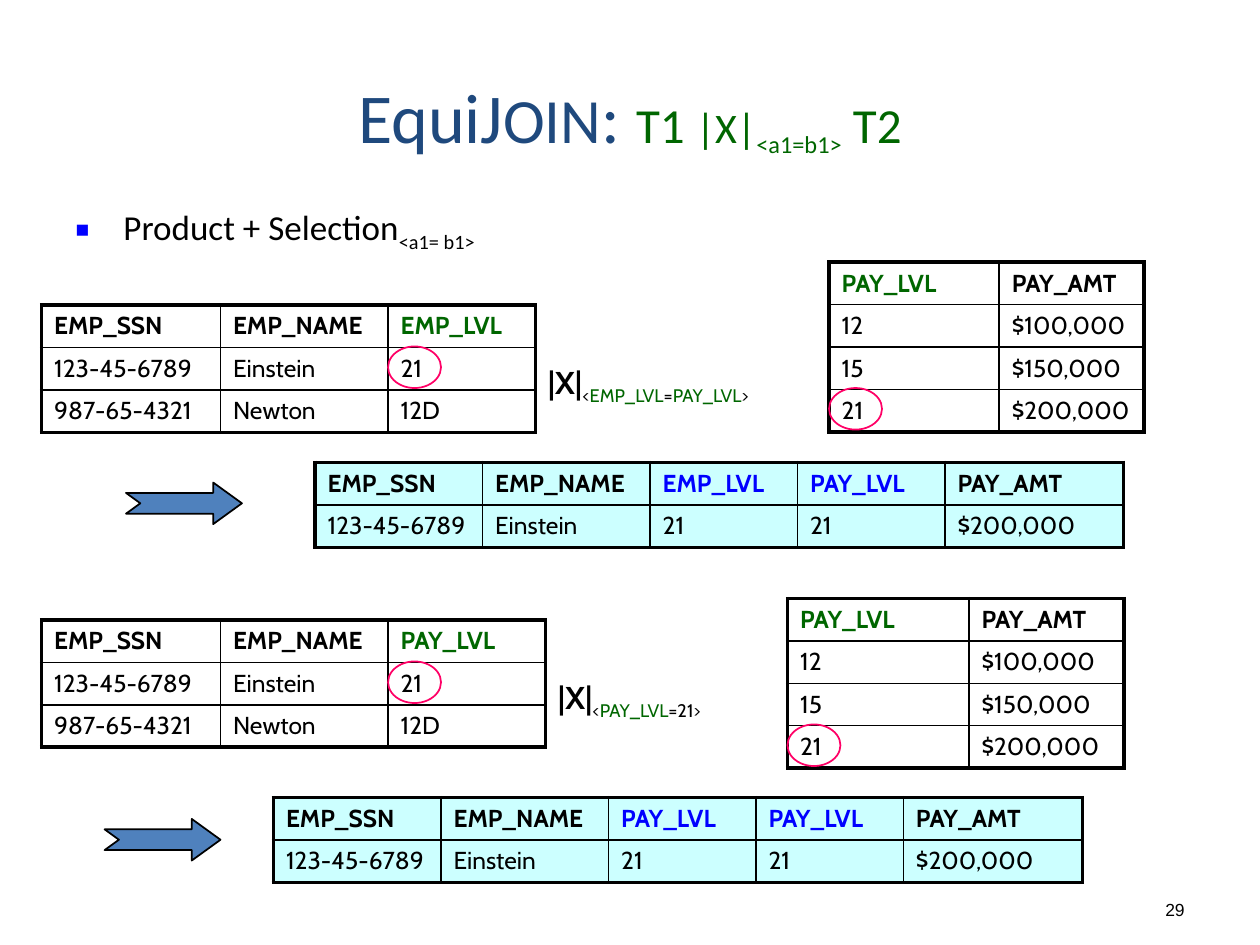
from lxml import etree
from pptx import Presentation
from pptx.dml.color import RGBColor
from pptx.enum.shapes import MSO_SHAPE
from pptx.enum.text import MSO_ANCHOR, PP_ALIGN
from pptx.oxml.ns import qn
from pptx.util import Inches, Pt

ARROW, ELLIPSE = MSO_SHAPE.NOTCHED_RIGHT_ARROW, MSO_SHAPE.OVAL
TOP, MIDDLE, BOTTOM = MSO_ANCHOR.TOP, MSO_ANCHOR.MIDDLE, MSO_ANCHOR.BOTTOM
CENTER, RIGHT = PP_ALIGN.CENTER, PP_ALIGN.RIGHT
COLORS = {
    "black": "000000", "navy": "1F497D", "green": "006600", "blue": "0000FF",
    "cyan": "CCFFFF", "arrow": "4F81BD", "pink": "FF0066",
}
ROW_HEIGHT = 0.337


def add_run(paragraph, text, size, font, color="black", bold=False, subscript=False):
    run = paragraph.add_run()
    run.text = text
    run.font.size = Pt(size)
    run.font.name = font
    run.font.bold = bold
    run.font.color.rgb = RGBColor.from_string(COLORS[color])
    if subscript:
        run._r.get_or_add_rPr().set("baseline", "-25000")


def add_relation(slide, left, top, widths, rows, header_colors, fill=None):
    frame = slide.shapes.add_table(
        len(rows), len(widths), Inches(left), Inches(top),
        Inches(sum(widths)), Inches(ROW_HEIGHT * len(rows)))
    table = frame.table
    table.first_row = table.horz_banding = False
    for column, width in zip(table.columns, widths):
        column.width = Inches(width)
    for r, values in enumerate(rows):
        table.rows[r].height = Inches(ROW_HEIGHT)
        for c, value in enumerate(values):
            cell = table.cell(r, c)
            color = header_colors.get(c, "black") if r == 0 else "black"
            add_run(cell.text_frame.paragraphs[0], value, 14, "Cabin", color, r == 0)
            outer_edges = {
                "a:lnL": c == 0, "a:lnR": c == len(widths) - 1,
                "a:lnT": r == 0, "a:lnB": r == len(rows) - 1,
            }
            properties = cell._tc.get_or_add_tcPr()
            for tag, is_outer in outer_edges.items():
                border = etree.SubElement(properties, qn(tag), w=str(Pt(2.25 if is_outer else 1)))
                solid = etree.SubElement(border, qn("a:solidFill"))
                etree.SubElement(solid, qn("a:srgbClr"), val=COLORS["black"])
            if fill:
                cell.fill.solid()
                cell.fill.fore_color.rgb = RGBColor.from_string(COLORS[fill])
            else:
                cell.fill.background()


presentation = Presentation()
presentation.slide_width, presentation.slide_height = Inches(10), Inches(7.5)
slide = presentation.slides.add_slide(presentation.slide_layouts[1])

title = slide.shapes.title
title.left, title.top, title.width, title.height = map(Inches, (0.5, 0.42, 9, 1))
title.text_frame.vertical_anchor = MIDDLE
paragraph = title.text_frame.paragraphs[0]
paragraph.alignment = CENTER
for text, size, color, subscript in [
    ("EquiJ", 40, "navy", False), ("OIN", 36, "navy", False), (": ", 40, "navy", False),
    ("T1 ", 28, "green", False), ("|X|", 24, "green", False),
    ("<a1=b1>", 24, "green", True), (" T2", 28, "green", False),
]:
    add_run(paragraph, text, size, "Calibri", color, subscript=subscript)

body = slide.placeholders[1]
body.left, body.top, body.width, body.height = map(Inches, (0.5, 1.58, 8.83, 0.67))
body.text_frame.vertical_anchor = TOP
paragraph = body.text_frame.paragraphs[0]
paragraph.space_before = Pt(0)
properties = paragraph._p.get_or_add_pPr()
properties.set("marL", str(Inches(0.38)))
properties.set("indent", str(Inches(-0.38)))
bullet_color = etree.SubElement(properties, qn("a:buClr"))
etree.SubElement(bullet_color, qn("a:srgbClr"), val=COLORS["blue"])
etree.SubElement(properties, qn("a:buSzPct"), val="65000")
etree.SubElement(properties, qn("a:buFont"), typeface="Arial")
etree.SubElement(properties, qn("a:buChar"), char="■")
add_run(paragraph, "Product + Selection", 20, "Calibri")
add_run(paragraph, "<a1= b1>", 20, "Calibri", subscript=True)

employees = [("123-45-6789", "Einstein", "21"), ("987-65-4321", "Newton", "12D")]
payments = [("PAY_LVL", "PAY_AMT"), ("12", "$100,000"), ("15", "$150,000"), ("21", "$200,000")]
joined_row = ("123-45-6789", "Einstein", "21", "21", "$200,000")
examples = [
    {
        "level": "EMP_LVL", "employee_top": 2.42, "level_width": 1.17,
        "payment_at": (6.58, 2.08), "payment_widths": (1.35, 1.15),
        "join_at": (4.25, 2.83), "result_at": (2.5, 3.67), "arrow_at": (1, 3.83),
        "circles": [(3.08, 2.75), (6.58, 3.08)],
        "condition": [("EMP_LVL", "green"), ("=", "black"), ("PAY_LVL", "green"), (">", "black")],
    },
    {
        "level": "PAY_LVL", "employee_top": 4.92, "level_width": 1.25,
        "payment_at": (6.25, 4.75), "payment_widths": (1.44, 1.23),
        "join_at": (4.33, 5.33), "result_at": (2.17, 6.33), "arrow_at": (0.83, 6.5),
        "circles": [(3.08, 5.25), (6.25, 5.75)],
        "condition": [("PAY_LVL", "green"), ("=21>", "black")],
    },
]
for example in examples:
    header = ("EMP_SSN", "EMP_NAME", example["level"])
    add_relation(slide, 0.33, example["employee_top"], (1.42, 1.33, example["level_width"]),
                 [header, *employees], {2: "green"})
    add_relation(slide, *example["payment_at"], example["payment_widths"],
                 payments, {0: "green"})
    add_relation(slide, *example["result_at"], (1.33, 1.33, 1.17, 1.17, 1.42),
                 [header + payments[0], joined_row], {2: "blue", 3: "blue"}, "cyan")

    join_box = slide.shapes.add_textbox(*map(Inches, (*example["join_at"], 2.5, 0.4)))
    join_box.text_frame.word_wrap = True
    paragraph = join_box.text_frame.paragraphs[0]
    add_run(paragraph, "|X|", 18, "Cabin", bold=True)
    for text, color in [("<", "black"), *example["condition"]]:
        add_run(paragraph, text, 18, "Cabin", color, subscript=True)

    arrow = slide.shapes.add_shape(ARROW, *map(Inches, (*example["arrow_at"], 0.92, 0.33)))
    arrow.adjustments[0], arrow.adjustments[1] = 0.5, 0.69
    arrow.shadow.inherit = False
    arrow.fill.solid()
    arrow.fill.fore_color.rgb = RGBColor.from_string(COLORS["arrow"])
    arrow.line.color.rgb = RGBColor.from_string(COLORS["black"])
    arrow.line.width = Pt(1)

    for position in example["circles"]:
        circle = slide.shapes.add_shape(ELLIPSE, *map(Inches, (*position, 0.42, 0.33)))
        circle.shadow.inherit = False
        circle.fill.background()
        circle.line.color.rgb = RGBColor.from_string(COLORS["pink"])
        circle.line.width = Pt(1)

page_number = slide.shapes.add_textbox(*map(Inches, (9.08, 7.08, 0.42, 0.27)))
page_number.text_frame.word_wrap = True
page_number.text_frame.vertical_anchor = BOTTOM
paragraph = page_number.text_frame.paragraphs[0]
paragraph.alignment = RIGHT
add_run(paragraph, "29", 10, "Arial")

presentation.save("out.pptx")
